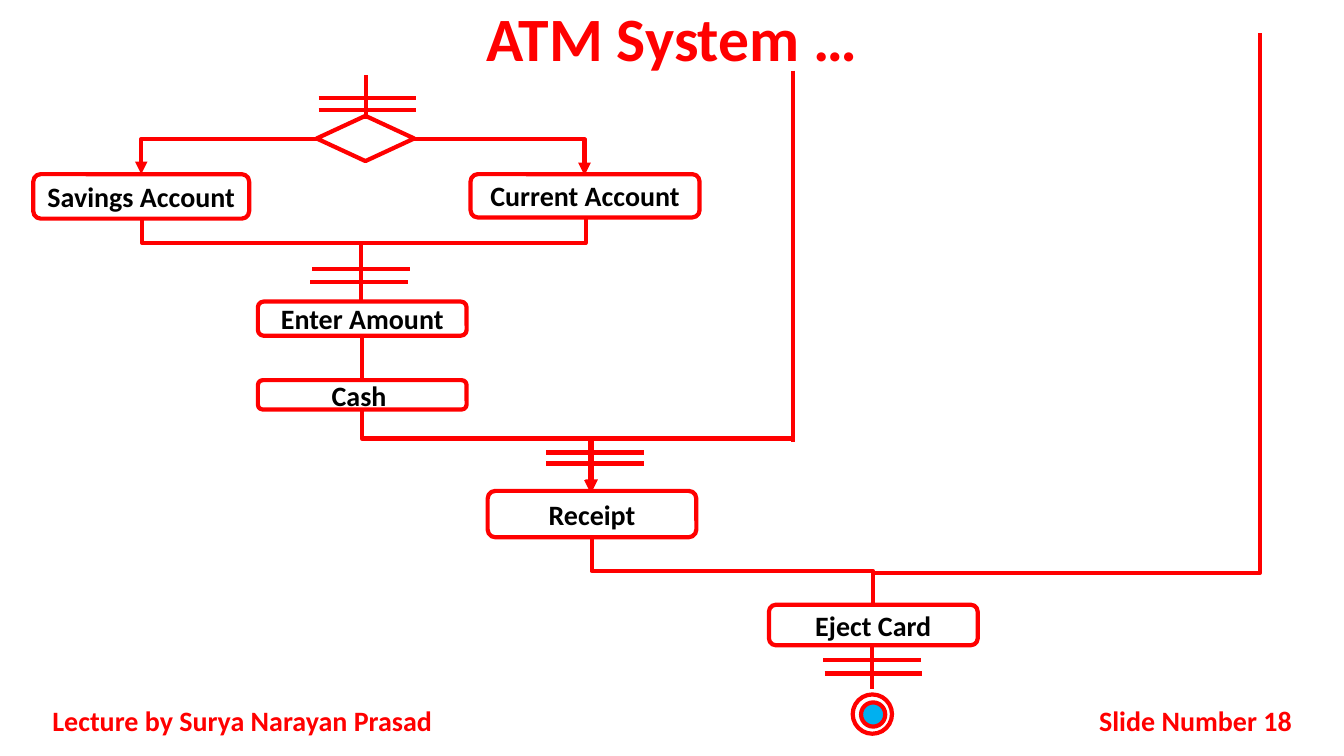
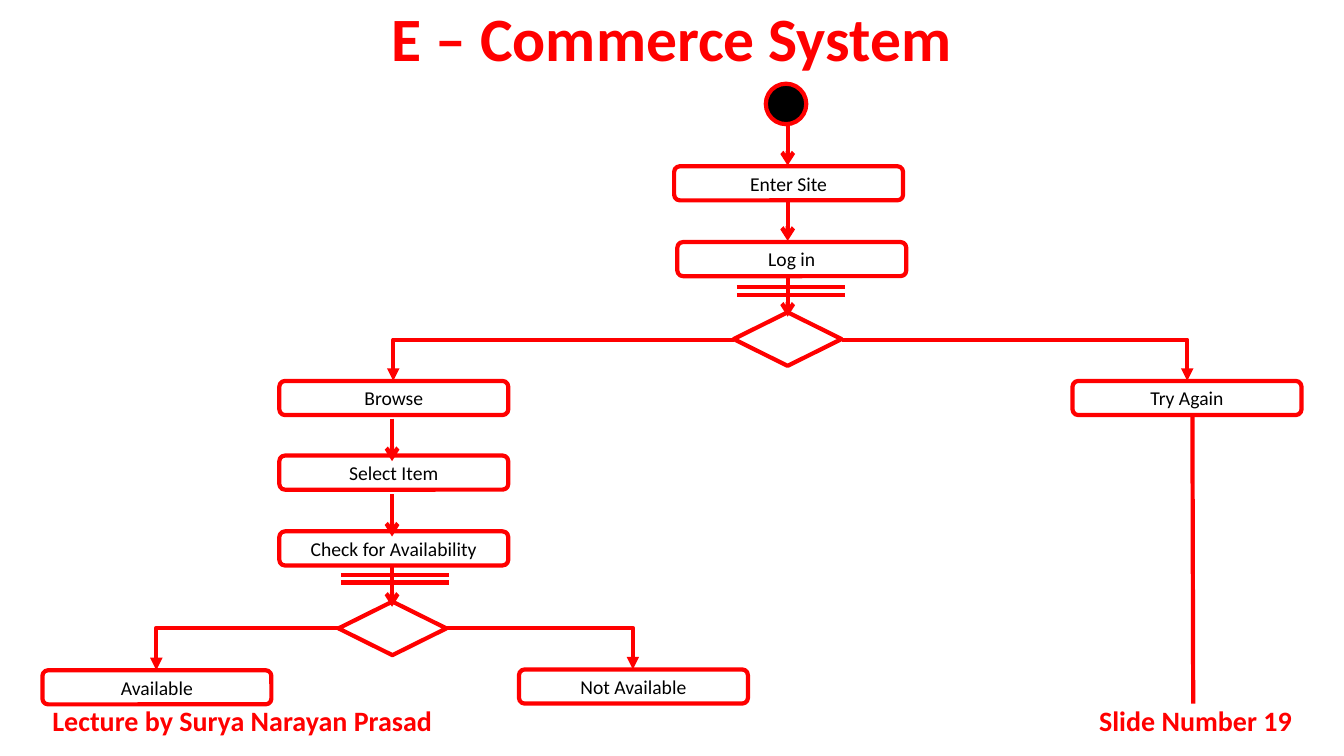
from dataclasses import dataclass
from typing import Optional

from lxml.etree import SubElement
from pptx import Presentation
from pptx.dml.color import RGBColor
from pptx.enum.shapes import MSO_CONNECTOR as Route, MSO_SHAPE as Form
from pptx.enum.text import MSO_ANCHOR as Anchor, MSO_AUTO_SIZE as AutoSize, PP_ALIGN as Align
from pptx.oxml.ns import qn
from pptx.presentation import Presentation as Deck
from pptx.shapes.connector import Connector
from pptx.slide import Slide
from pptx.text.text import TextFrame
from pptx.util import Cm, Pt

Point = tuple[float, float]  # centimetres


@dataclass(frozen=True)
class Theme:
    """Colours and type sizes of the whole deck."""
    font: str = "Calibri"
    accent: RGBColor = RGBColor(0xFF, 0x00, 0x00)
    ink: RGBColor = RGBColor(0x00, 0x00, 0x00)
    paper: RGBColor = RGBColor(0xFF, 0xFF, 0xFF)
    core: RGBColor = RGBColor(0x00, 0xB0, 0xF0)
    title_size: int = 44
    large_size: int = 20
    small_size: int = 14
    line_width: int = 3


THEME = Theme()
PAGE_WIDTH, PAGE_HEIGHT = 33.87, 19.05


@dataclass(frozen=True)
class Node:
    """A step, decision or end point of the flow."""
    left: float
    top: float
    width: float
    height: float
    text: str = ""
    form: Form = Form.ROUNDED_RECTANGLE
    fill: Optional[RGBColor] = None


@dataclass(frozen=True)
class Bars:
    """Two parallel bars across a flow line; shift moves the lower one."""
    left: float
    top: float
    width: float
    gap: float
    shift: float = 0


@dataclass(frozen=True)
class Link:
    """A straight line."""
    start: Point
    end: Point
    head: str = ""


@dataclass(frozen=True)
class Elbow:
    """A bent line: across then down, or down to a rail, across and down."""
    start: Point
    end: Point
    head: str = ""
    rail: Optional[float] = None


@dataclass(frozen=True)
class Diagram:
    """Everything that one page shows."""
    title: str
    number: int
    text_size: int
    bold: bool
    nodes: list[Node]
    bars: list[Bars]
    links: list[Link]
    elbows: list[Elbow]


def write(frame: TextFrame, text: str, size: int, color: RGBColor,
          align: Align, bold: bool, spacing: Optional[float] = None) -> None:
    """Put one formatted run into a text frame."""
    frame.word_wrap = True
    frame.auto_size = AutoSize.NONE
    frame.vertical_anchor = Anchor.MIDDLE
    para = frame.paragraphs[0]
    para.alignment = align
    if spacing:
        para.line_spacing = spacing
    span = para.add_run()
    span.text = text
    span.font.name = THEME.font
    span.font.size = Pt(size)
    span.font.bold = bold
    span.font.color.rgb = color


def add_frame(page: Slide, title: str, number: int) -> None:
    """Fill the title and add both footer texts."""
    box = page.shapes.title
    box.left, box.top, box.width, box.height = Cm(0), Cm(0), Cm(PAGE_WIDTH), Cm(2.11)
    write(box.text_frame, title, THEME.title_size, THEME.accent, Align.CENTER, True, 0.9)
    footers = [(1.07, 10.59, "Lecture by Surya Narayan Prasad", Align.JUSTIFY),
               (25.83, 6.98, f"Slide Number {number}", Align.RIGHT)]
    for left, width, text, align in footers:
        box = page.shapes.add_textbox(Cm(left), Cm(17.65), Cm(width), Cm(1.02))
        write(box.text_frame, text, THEME.large_size, THEME.accent, align, True)


def add_node(page: Slide, node: Node, size: int, bold: bool) -> None:
    """Draw one outlined node with its label."""
    box = page.shapes.add_shape(node.form, Cm(node.left), Cm(node.top),
                                Cm(node.width), Cm(node.height))
    box.shadow.inherit = False
    box.line.color.rgb = THEME.accent
    box.line.width = Pt(THEME.line_width)
    if node.fill is None:
        box.fill.background()
    else:
        box.fill.solid()
        box.fill.fore_color.rgb = node.fill
    if node.text:
        frame = box.text_frame
        frame.margin_left = frame.margin_right = Cm(0)
        write(frame, node.text, size, THEME.ink, Align.CENTER, bold)


def add_line(page: Slide, start: Point, end: Point, head: str = "",
             route: Route = Route.STRAIGHT) -> Connector:
    """Draw a connector in the accent colour without a shadow."""
    line = page.shapes.add_connector(route, Cm(start[0]), Cm(start[1]), Cm(end[0]), Cm(end[1]))
    line.line.color.rgb = THEME.accent
    line.line.width = Pt(THEME.line_width)
    properties = line.element.spPr
    if head:
        SubElement(properties.find(qn("a:ln")), qn("a:tailEnd"), type=head)
    SubElement(properties, qn("a:effectLst"))
    return line


def turn(line: Connector, degrees: int) -> None:
    """Rotate a connector clockwise."""
    line.element.spPr.find(qn("a:xfrm")).set("rot", str(degrees * 60000))


def add_corner(page: Slide, elbow: Elbow) -> None:
    """Draw a line that goes across and then down."""
    leftward = elbow.end[0] < elbow.start[0]
    ends = (elbow.end, elbow.start) if leftward else (elbow.start, elbow.end)
    line = add_line(page, *ends, elbow.head, Route.ELBOW)
    line.element.spPr.find(qn("a:prstGeom")).set("prst", "bentConnector2")
    if leftward:
        turn(line, 180)


def add_step(page: Slide, elbow: Elbow, rail: float) -> None:
    """Draw a line that goes down to the rail, across, and on to its end."""
    (x0, y0), (x1, y1) = elbow.start, elbow.end
    middle_x, middle_y = (x0 + x1) / 2, (y0 + y1) / 2
    half_run, half_drop = abs(x1 - x0) / 2, (y1 - y0) / 2
    rightward = x1 > x0
    reach = -half_drop if rightward else half_drop
    line = add_line(page, (middle_x - reach, middle_y - half_run),
                    (middle_x + reach, middle_y + half_run), elbow.head, Route.ELBOW)
    turn(line, 270 if rightward else 90)
    guides = line.element.spPr.find(qn("a:prstGeom")).find(qn("a:avLst"))
    share = round((rail - y0) / (y1 - y0) * 100000)
    SubElement(guides, qn("a:gd"), name="adj1", fmla=f"val {share}")


def add_diagram(deck: Deck, diagram: Diagram) -> None:
    """Add one page with its frame and flow."""
    page = deck.slides.add_slide(deck.slide_layouts[5])
    add_frame(page, diagram.title, diagram.number)
    for node in diagram.nodes:
        add_node(page, node, diagram.text_size, diagram.bold)
    for bars in diagram.bars:
        for left, top in ((bars.left, bars.top), (bars.left + bars.shift, bars.top + bars.gap)):
            add_line(page, (left, top), (left + bars.width, top))
    for link in diagram.links:
        add_line(page, link.start, link.end, link.head)
    for elbow in diagram.elbows:
        if elbow.rail is None:
            add_corner(page, elbow)
        else:
            add_step(page, elbow, elbow.rail)


def drop(x: float, top: float) -> Link:
    """Describe a short arrow pointing down."""
    return Link((x, top), (x, top + 1.07), "arrow")


def site_step(left: float, top: float, text: str) -> Node:
    """Describe a step of the shop flow, all of one size."""
    return Node(left, top, 5.77, 0.86, text)


ATM = Diagram(
    "ATM System …", 18, THEME.large_size, True,
    nodes=[
        Node(7.98, 2.92, 2.46, 1.14, form=Form.FLOWCHART_DECISION),
        Node(0.84, 4.39, 5.44, 1.12, "Savings Account"),
        Node(11.86, 4.39, 5.77, 1.09, "Current Account"),
        Node(6.5, 7.6, 5.26, 0.86, "Enter Amount"),
        Node(6.5, 9.58, 5.26, 0.74, "Cash "),
        Node(12.29, 12.37, 5.26, 1.17, "Receipt"),
        Node(19.38, 15.24, 5.26, 1.02, "Eject Card"),
        Node(21.49, 17.5, 0.99, 0.99, form=Form.OVAL, fill=THEME.paper),
        Node(21.7, 17.7, 0.61, 0.61, form=Form.OVAL, fill=THEME.core),
    ],
    bars=[
        Bars(8.03, 2.46, 2.46, 0.32),
        Bars(7.87, 6.78, 2.46, 0.33, -0.05),
        Bars(13.77, 11.4, 2.46, 0.28),
        Bars(20.75, 16.64, 2.46, 0.33, 0.03),
    ],
    links=[
        Link((9.22, 1.9), (9.22, 3)),
        Link((9.09, 6.15), (9.09, 7.62)),
        Link((9.12, 8.48), (9.12, 9.58)),
        Link((19.99, 1.78), (19.99, 11.15)),
        Link((21.97, 16.26), (21.97, 17.35)),
    ],
    elbows=[
        Elbow((7.98, 3.51), (3.56, 4.39), "triangle"),
        Elbow((10.44, 3.51), (14.73, 4.42), "triangle"),
        Elbow((14.76, 5.49), (3.58, 5.52), rail=6.12),
        Elbow((9.12, 10.34), (14.91, 12.4), "triangle", rail=11.05),
        Elbow((19.96, 11.05), (14.88, 12.42), "triangle"),
        Elbow((14.91, 13.54), (22, 15.24), rail=14.39),
        Elbow((31.75, 0.84), (22, 15.24), rail=14.43),
    ],
)

SHOP = Diagram(
    "E – Commerce System", 19, THEME.small_size, False,
    nodes=[
        Node(19.3, 2.11, 1.02, 1.02, form=Form.OVAL, fill=THEME.ink),
        site_step(16.99, 4.19, "Enter Site"),
        site_step(17.07, 6.1, "Log in"),
        Node(18.49, 7.87, 2.72, 1.35, form=Form.FLOWCHART_DECISION),
        site_step(7.04, 9.6, "Browse"),
        site_step(27.03, 9.6, "Try Again"),
        site_step(7.04, 11.48, "Select Item"),
        site_step(7.04, 13.39, "Check for Availability"),
        Node(8.53, 15.16, 2.72, 1.35, form=Form.FLOWCHART_DECISION),
        site_step(1.07, 16.89, "Available"),
        site_step(13.08, 16.87, "Not Available"),
    ],
    bars=[Bars(18.57, 7.24, 2.72, 0.2), Bars(8.59, 14.48, 2.72, 0.2)],
    links=[
        *(drop(19.85, top) for top in (3.1, 5, 6.91)),
        *(drop(9.88, top) for top in (10.55, 12.45, 14.22)),
        Link((30.07, 17.73), (30.05, 10.49)),
    ],
    elbows=[
        Elbow((21.21, 8.56), (29.92, 9.6), "triangle"),
        Elbow((18.49, 8.56), (9.91, 9.6), "triangle"),
        Elbow((11.23, 15.82), (15.95, 16.87), "triangle"),
        Elbow((8.53, 15.82), (3.94, 16.89), "triangle"),
    ],
)


def main() -> None:
    """Build and save the deck."""
    deck = Presentation()
    deck.slide_width, deck.slide_height = Cm(PAGE_WIDTH), Cm(PAGE_HEIGHT)
    for diagram in (ATM, SHOP):
        add_diagram(deck, diagram)
    deck.save("out.pptx")


main()
